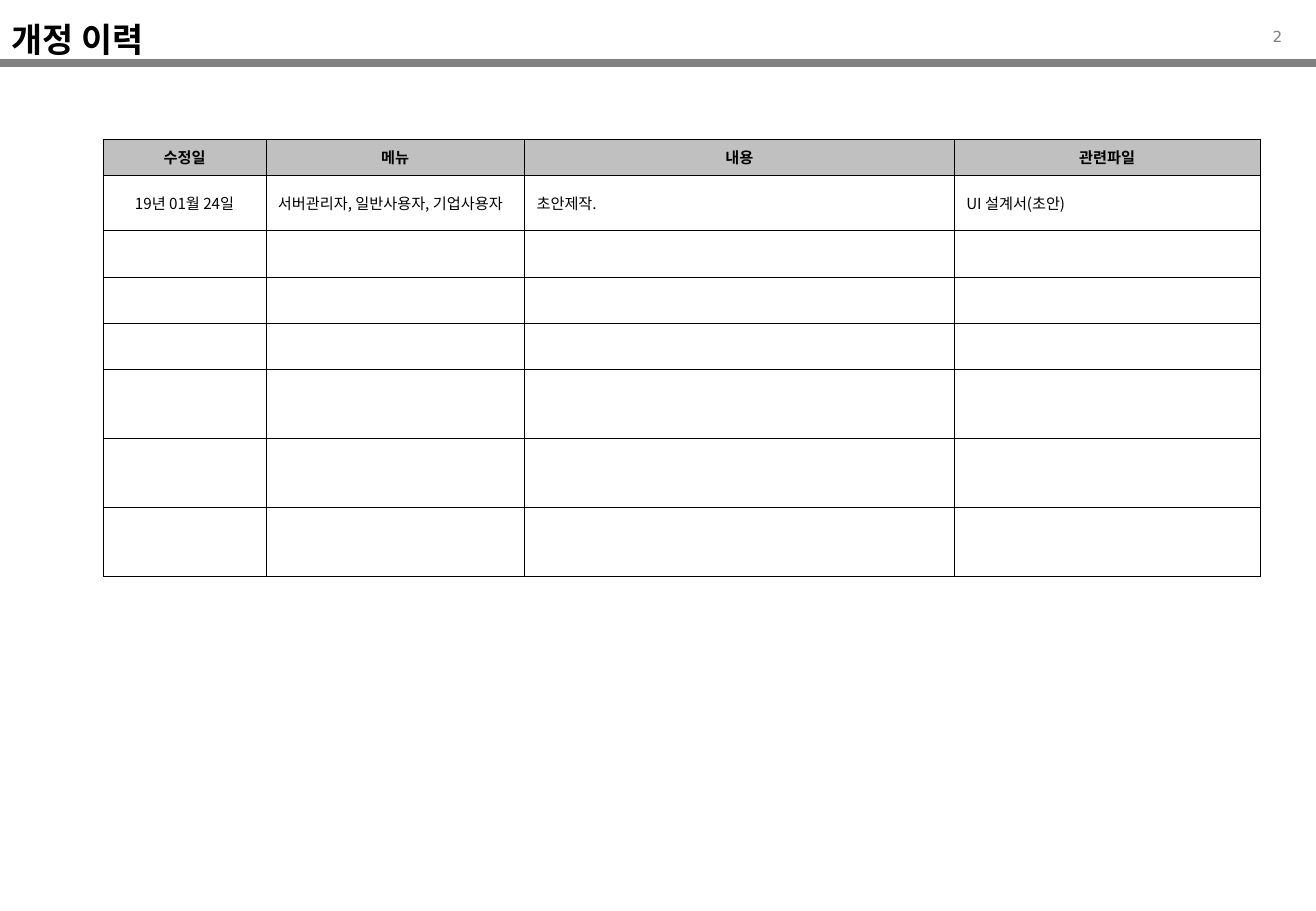
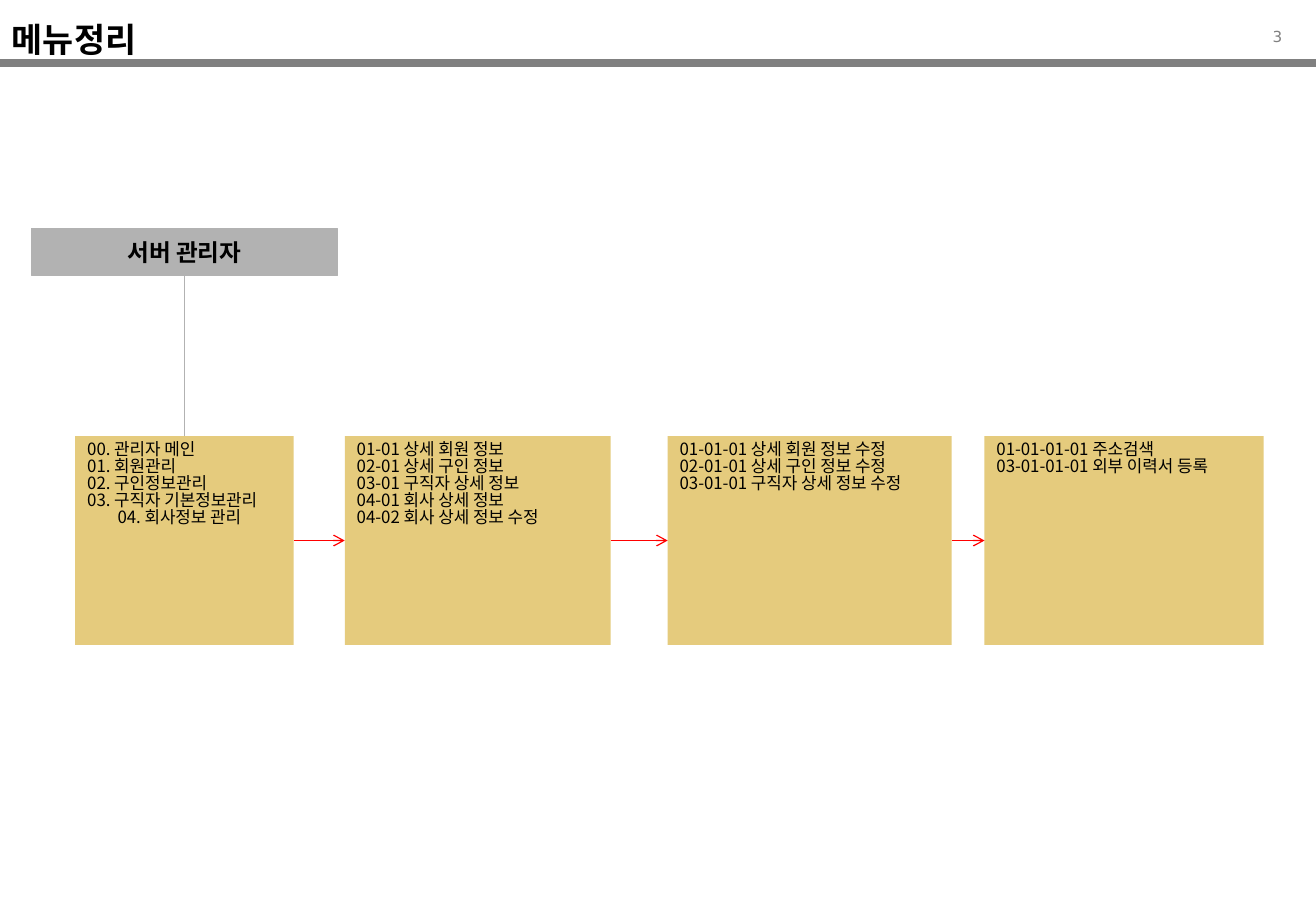
from itertools import pairwise

from lxml.etree import SubElement
from pptx import Presentation
from pptx.dml.color import RGBColor
from pptx.enum.shapes import MSO_CONNECTOR, MSO_SHAPE
from pptx.enum.text import MSO_ANCHOR, PP_ALIGN
from pptx.oxml.ns import qn
from pptx.util import Inches, Pt

BLACK = RGBColor(0x00, 0x00, 0x00)
WHITE = RGBColor(0xFF, 0xFF, 0xFF)
BAND_GRAY = RGBColor(0x80, 0x80, 0x80)
HEADER_GRAY = RGBColor(0xC0, 0xC0, 0xC0)
ROLE_GRAY = RGBColor(0xB2, 0xB2, 0xB2)
MENU_GOLD = RGBColor(0xCC, 0x99, 0x00)
ARROW_RED = RGBColor(0xFF, 0x00, 0x00)
KOREAN_FONT = "Noto Sans CJK KR"
NUMBER_FONT = "DejaVu Sans"

HISTORY_COLUMNS = [1.34, 2.13, 3.54, 2.52]
HISTORY_HEIGHTS = [0.29, 0.46] + [0.38] * 3 + [0.57] * 3
HISTORY_ROWS = [
    ["수정일", "메뉴", "내용", "관련파일"],
    ["19년 01월 24일", "서버관리자, 일반사용자, 기업사용자", "초안제작.", "UI 설계서(초안)"],
]

MENU_TOP, MENU_HEIGHT = 3.59, 1.72
MENUS = [
    (0.62, 1.8, 0.25, [
        "00. 관리자 메인",
        "01. 회원관리",
        "02. 구인정보관리",
        "03. 구직자 기본정보관리\v04. 회사정보 관리",
    ]),
    (2.84, 2.19, 0, [
        "01-01 상세 회원 정보",
        "02-01 상세 구인 정보",
        "03-01 구직자 상세 정보",
        "04-01 회사 상세 정보",
        "04-02 회사 상세 정보 수정",
    ]),
    (5.5, 2.34, 0, [
        "01-01-01 상세 회원 정보 수정",
        "02-01-01 상세 구인 정보 수정",
        "03-01-01 구직자 상세 정보 수정",
    ]),
    (8.11, 2.3, 0, [
        "01-01-01-01 주소검색",
        "03-01-01-01 외부 이력서 등록",
    ]),
]
TOP, LEFT, BOTTOM, RIGHT = range(4)


def write(paragraph, text, size, bold=False, color=BLACK, name=KOREAN_FONT, align=PP_ALIGN.LEFT):
    paragraph.text = text
    paragraph.alignment = align
    font = paragraph.font
    font.size = Pt(size)
    font.bold = bold
    font.color.rgb = color
    font.name = name
    SubElement(font._element, qn("a:ea"), typeface=name)


def add_text(slide, box, text, size, **style):
    frame = slide.shapes.add_textbox(*map(Inches, box)).text_frame
    frame.word_wrap = True
    frame.vertical_anchor = MSO_ANCHOR.MIDDLE
    write(frame.paragraphs[0], text, size, **style)


def add_line(slide, color, width, start=(0, 0), end=(0, 0)):
    line = slide.shapes.add_connector(MSO_CONNECTOR.STRAIGHT, *map(Inches, (*start, *end)))
    line.line.color.rgb = color
    line.line.width = Pt(width)
    SubElement(line._element.spPr, qn("a:effectLst"))
    return line


def link(slide, source, source_side, target, target_side, color):
    line = add_line(slide, color, 0.75)
    line.begin_connect(source, source_side)
    line.end_connect(target, target_side)
    return line


def add_arrow(slide, source, target):
    arrow = link(slide, source, RIGHT, target, LEFT, ARROW_RED)
    SubElement(arrow.line._get_or_add_ln(), qn("a:tailEnd"), type="arrow")


def add_box(slide, box, color):
    shape = slide.shapes.add_shape(MSO_SHAPE.RECTANGLE, *map(Inches, box))
    shape.shadow.inherit = False
    shape.fill.solid()
    shape.fill.fore_color.rgb = color
    shape.line.fill.background()
    return shape


def add_role_box(slide, box, text):
    shape = add_box(slide, box, ROLE_GRAY)
    shape.line.color.rgb = ROLE_GRAY
    shape.line.width = Pt(0.75)
    shape.text_frame.vertical_anchor = MSO_ANCHOR.MIDDLE
    write(shape.text_frame.paragraphs[0], text, 14, bold=True, align=PP_ALIGN.CENTER)
    return shape


def add_menu_box(slide, left, width, indent, items):
    shape = add_box(slide, (left, MENU_TOP, width, MENU_HEIGHT), MENU_GOLD)
    fill_color = shape.fill._xPr.find(qn("a:solidFill"))[0]
    SubElement(fill_color, qn("a:alpha"), val="51000")
    frame = shape.text_frame
    frame.vertical_anchor = MSO_ANCHOR.TOP
    for index, item in enumerate(items):
        paragraph = frame.add_paragraph() if index else frame.paragraphs[0]
        write(paragraph, item, 10)
        paragraph.line_spacing = 0.84
        if indent:
            properties = paragraph._p.get_or_add_pPr()
            properties.set("marL", str(Inches(indent)))
            properties.set("indent", str(-Inches(indent)))
    return shape


def add_borders(cell):
    properties = cell._tc.get_or_add_tcPr()
    for index, side in enumerate(("lnL", "lnR", "lnT", "lnB")):
        border = properties.makeelement(qn(f"a:{side}"), {"w": str(Pt(0.45))})
        fill = SubElement(border, qn("a:solidFill"))
        SubElement(fill, qn("a:srgbClr"), val=str(BLACK))
        properties.insert(index, border)


def add_history_table(slide):
    size = (sum(HISTORY_COLUMNS), sum(HISTORY_HEIGHTS))
    table = slide.shapes.add_table(
        len(HISTORY_HEIGHTS), len(HISTORY_COLUMNS), *map(Inches, (0.85, 1.15, *size))
    ).table
    for column, width in zip(table.columns, HISTORY_COLUMNS):
        column.width = Inches(width)
    for row_index, height in enumerate(HISTORY_HEIGHTS):
        table.rows[row_index].height = Inches(height)
        is_header = row_index == 0
        texts = HISTORY_ROWS[row_index] if row_index < len(HISTORY_ROWS) else [""] * 4
        for column_index, text in enumerate(texts):
            cell = table.cell(row_index, column_index)
            cell.fill.solid()
            cell.fill.fore_color.rgb = HEADER_GRAY if is_header else WHITE
            cell.vertical_anchor = MSO_ANCHOR.MIDDLE
            cell.margin_top = cell.margin_bottom = Inches(0.03)
            centered = is_header or column_index == 0
            align = PP_ALIGN.CENTER if centered else PP_ALIGN.LEFT
            write(cell.text_frame.paragraphs[0], text, 9, bold=is_header, align=align)
            add_borders(cell)


def add_page(presentation, title, number):
    slide = presentation.slides.add_slide(presentation.slide_layouts[6])
    add_text(slide, (10.14, 0.15, 0.52, 0.3), str(number), 9,
             color=BAND_GRAY, name=NUMBER_FONT, align=PP_ALIGN.RIGHT)
    add_line(slide, BAND_GRAY, 4.5, (0, 0.52), (10.84, 0.52))
    add_text(slide, (0, 0.21, 2.91, 0.22), title, 20, bold=True)
    return slide


def add_menu_map(slide):
    role = add_role_box(slide, (0.26, 1.88, 2.52, 0.39), "서버 관리자")
    menus = [add_menu_box(slide, *menu) for menu in MENUS]
    link(slide, role, BOTTOM, menus[0], TOP, ROLE_GRAY)
    for source, target in pairwise(menus):
        add_arrow(slide, source, target)


def main():
    presentation = Presentation()
    presentation.slide_width = Inches(10.84)
    presentation.slide_height = Inches(7.5)
    add_history_table(add_page(presentation, "개정 이력", 2))
    add_menu_map(add_page(presentation, "메뉴정리", 3))
    presentation.save("out.pptx")


if __name__ == "__main__":
    main()
